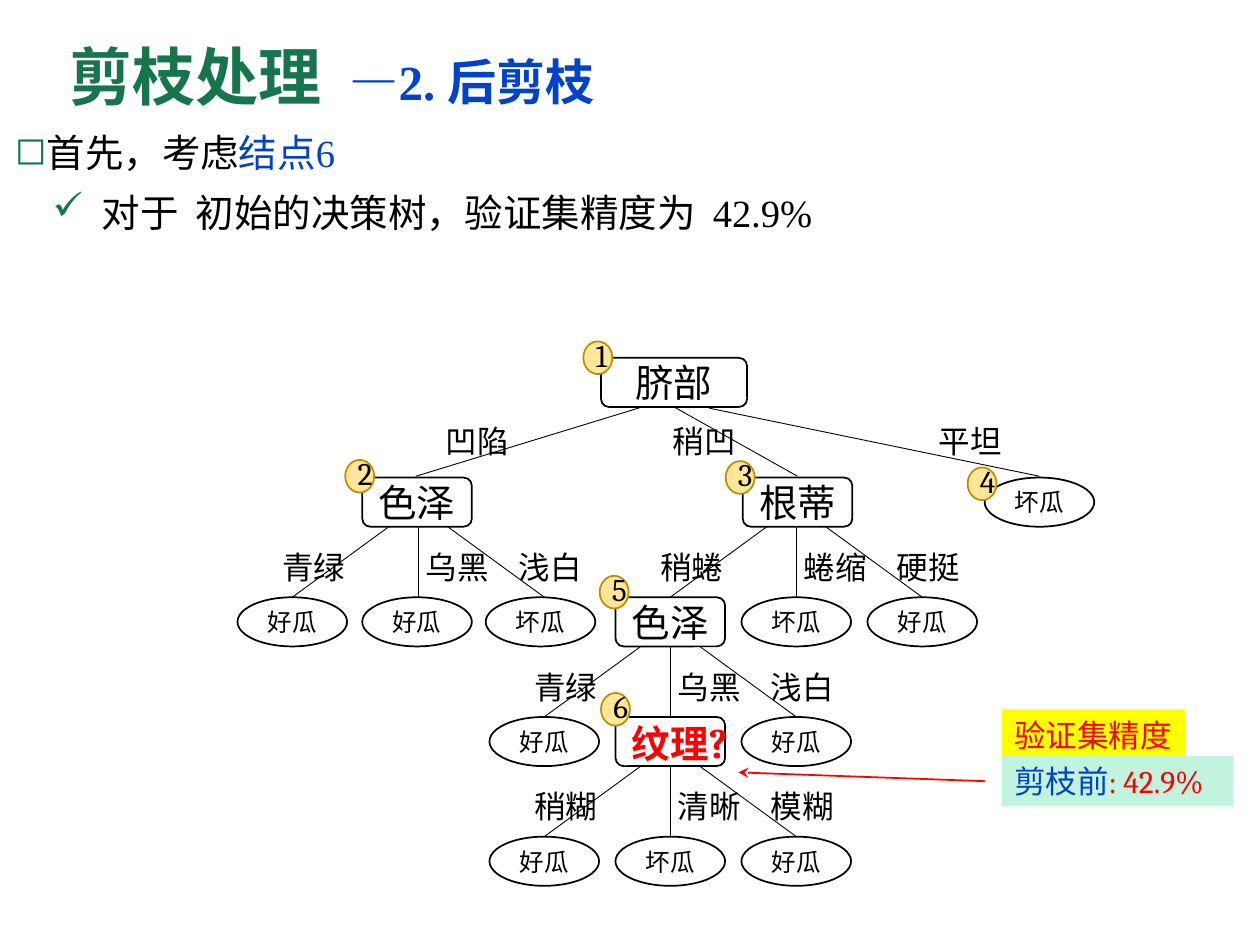
"""Build a slide showing a decision tree and the post-pruning check of node 6."""
from typing import NamedTuple

from lxml import etree
from pptx import Presentation, util as u
from pptx.dml import color
from pptx.enum import shapes, text
from pptx.oxml import ns

BLACK, WHITE, RED, BLUE, GREEN = "000000", "FFFFFF", "FF0000", "0042C8", "16754D"
SERIF, HEADING, CJK = "Times New Roman", "Cambria", "Noto Sans CJK SC"
NODE_WIDTH, NODE_HEIGHT = 0.87, 0.39
FIRST_LEVEL, LEVEL_STEP = 3.79, 0.95
ELLIPSE, ROUNDED = shapes.MSO_SHAPE.OVAL, shapes.MSO_SHAPE.ROUNDED_RECTANGLE


class Run(NamedTuple):
    words: str
    size: float
    face: str = SERIF
    tint: str = BLACK
    bold: bool = False


class Node(NamedTuple):
    runs: list[Run]
    center: float
    top: float
    width: float = NODE_WIDTH
    kind: int = ROUNDED


class Fan(NamedTuple):
    center: float
    level: int
    labels: tuple[str, str, str]


class Badge(NamedTuple):
    number: str
    left: float
    top: float


def rgb(value: str) -> color.RGBColor:
    return color.RGBColor.from_string(value)


def level_top(level: int) -> float:
    return FIRST_LEVEL + level * LEVEL_STEP


def style(font, run: Run) -> None:
    font.size, font.bold, font.name = u.Pt(run.size), run.bold, run.face
    font.color.rgb = rgb(run.tint)
    etree.SubElement(font._element, ns.qn("a:ea"), typeface=CJK)


def write(paragraph, runs: list[Run]) -> None:
    if len({run[1:] for run in runs}) == 1:
        style(paragraph.font, runs[0])
    for run in runs:
        piece = paragraph.add_run()
        piece.text = run.words
        if len(runs) > 1:
            style(piece.font, run)


def add_text(canvas, left: float, top: float, width: float, height: float,
             runs: list[Run], fill: str = "", wrap: bool = False):
    box = canvas.add_textbox(*map(u.Inches, (left, top, width, height)))
    frame = box.text_frame
    frame.word_wrap = wrap
    if not wrap:
        frame.auto_size = text.MSO_AUTO_SIZE.SHAPE_TO_FIT_TEXT
    if fill:
        box.fill.solid()
        box.fill.fore_color.rgb = rgb(fill)
    write(frame.paragraphs[0], runs)
    return box


def add_outlined(canvas, kind: int, left: float, top: float, width: float, height: float,
                 runs: list[Run], fill: str = WHITE, outline: str = BLACK):
    shape = canvas.add_shape(kind, *map(u.Inches, (left, top, width, height)))
    shape.shadow.inherit = False
    shape.fill.solid()
    shape.fill.fore_color.rgb = rgb(fill)
    shape.line.color.rgb = rgb(outline)
    shape.line.width = u.Pt(1)
    frame = shape.text_frame
    frame.word_wrap = True
    frame.vertical_anchor = text.MSO_ANCHOR.MIDDLE
    frame.paragraphs[0].alignment = text.PP_ALIGN.CENTER
    write(frame.paragraphs[0], runs)
    return shape


def add_line(canvas, start: tuple[float, float], end: tuple[float, float],
             tint: str = BLACK, width: float = 0.5, arrow: bool = False) -> None:
    line = canvas.add_connector(shapes.MSO_CONNECTOR.STRAIGHT, *map(u.Inches, (*start, *end)))
    line.line.color.rgb = rgb(tint)
    line.line.width = u.Pt(width)
    if arrow:
        etree.SubElement(line.line._get_or_add_ln(), ns.qn("a:tailEnd"), type="stealth")
    etree.SubElement(line._element.spPr, ns.qn("a:effectLst"))


def add_label(canvas, left: float, top: float, words: str) -> None:
    add_text(canvas, left, top, 0.71, 0.4, [Run(words, 18, CJK)])


def add_fan(canvas, fan: Fan) -> None:
    top = level_top(fan.level)
    for step, rise in ((-1, 0.22), (0, 0.39), (1, 0.22)):
        add_line(canvas, (fan.center, top + rise), (fan.center + step, top + LEVEL_STEP))
    for shift, words in zip((-1.18, -0.04, 0.7), fan.labels):
        add_label(canvas, fan.center + shift, top + 0.51, words)


def add_node(canvas, node: Node) -> None:
    add_outlined(canvas, node.kind, node.center - node.width / 2, node.top,
                 node.width, NODE_HEIGHT, node.runs)


def add_badge(canvas, badge: Badge) -> None:
    shape = add_outlined(canvas, ELLIPSE, badge.left, badge.top, 0.23, 0.26,
                         [Run(badge.number, 18, HEADING)], "FFE699", "BD8E00")
    shape.text_frame.margin_top = 0


def add_bullet(paragraph, runs: list[Run], symbol: str, margin: float) -> None:
    paragraph.line_spacing = 0.9
    paragraph.space_before = u.Pt(10)
    properties = paragraph._p.get_or_add_pPr()
    properties.set("marL", str(u.Inches(margin)))
    properties.set("indent", str(u.Inches(-0.39)))
    tint = etree.SubElement(properties, ns.qn("a:buClr"))
    etree.SubElement(tint, ns.qn("a:srgbClr"), val=GREEN)
    etree.SubElement(properties, ns.qn("a:buChar"), char=symbol)
    write(paragraph, runs)


def decision(words: str, center: float, level: int) -> Node:
    return Node([Run(words, 22, HEADING)], center, level_top(level))


def leaf(words: str, center: float, level: int) -> Node:
    return Node([Run(words, 14)], center, level_top(level), kind=ELLIPSE)


FANS = [
    Fan(3.32, 0, ("青绿", "乌黑", "浅白")),
    Fan(6.32, 0, ("稍蜷", "蜷缩", "硬挺")),
    Fan(5.32, 1, ("青绿", "乌黑", "浅白")),
    Fan(5.32, 2, ("稍糊", "清晰", "模糊")),
]
ROOT_BRANCHES = [
    ((5.13, 3.22), (3.3, 3.78), "凹陷", 3.44),
    ((5.35, 3.23), (6.33, 3.78), "稍凹", 5.24),
    ((5.63, 3.24), (8.25, 3.78), "平坦", 7.35),
]
NODES = [
    Node([Run("脐部", 22, HEADING)], 5.35, 2.84, 1.16),
    decision("色泽", 3.31, 0), decision("根蒂", 6.33, 0), leaf("坏瓜", 8.25, 0),
    leaf("好瓜", 2.32, 1), leaf("好瓜", 3.31, 1), leaf("坏瓜", 4.29, 1),
    decision("色泽", 5.32, 1), leaf("坏瓜", 6.32, 1), leaf("好瓜", 7.32, 1),
    leaf("好瓜", 4.32, 2), leaf("好瓜", 6.32, 2),
    Node([Run("纹理", 22, HEADING, RED, True), Run("?", 24, HEADING, RED, True)],
         5.32, level_top(2)),
    leaf("好瓜", 4.32, 3), leaf("坏瓜", 5.32, 3), leaf("好瓜", 6.32, 3),
]
BADGES = [
    Badge("1", 4.63, 2.71), Badge("2", 2.74, 3.65), Badge("3", 5.76, 3.66),
    Badge("4", 7.68, 3.71), Badge("5", 4.76, 4.57), Badge("6", 4.77, 5.5),
]


def main() -> None:
    presentation = Presentation()
    presentation.slide_width, presentation.slide_height = u.Inches(10), u.Inches(7.5)
    slide = presentation.slides.add_slide(presentation.slide_layouts[6])
    canvas = slide.shapes

    body = canvas.add_textbox(*map(u.Inches, (0.02, 1.02, 9.88, 0.99))).text_frame
    body.word_wrap = True
    add_bullet(body.paragraphs[0], [Run("首先，考虑", 22), Run("结点6", 22, tint=BLUE)], "◻", 0.25)
    add_bullet(body.add_paragraph(), [Run("对于  初始的决策树，验证集精度为  42.9%", 22)], "✓", 0.69)

    tree = canvas.add_group_shape().shapes
    for start, end, words, left in ROOT_BRANCHES:
        add_line(tree, start, end)
        add_label(tree, left, 3.3, words)
    for fan in FANS:
        add_fan(tree, fan)
    for node in NODES:
        add_node(tree, node)
    for badge in BADGES:
        add_badge(tree, badge)

    add_line(canvas, (7.82, 6.2), (5.86, 6.13), RED, 1, arrow=True)
    add_text(canvas, 7.95, 5.63, 1.46, 0.4, [Run("验证集精度", 18, HEADING, RED)], "FFFF00")
    add_text(canvas, 7.95, 6, 1.84, 0.4,
             [Run("剪枝前", 18, HEADING, BLUE), Run(": 42.9%", 18, HEADING, RED)], "C1F3DE")

    title = add_text(canvas, 0.45, 0.21, 8.62, 0.85,
                     [Run("剪枝处理  ", 36, SERIF, GREEN, True),
                      Run("—2. 后剪枝", 28, SERIF, BLUE, True)], wrap=True).text_frame
    title.vertical_anchor = text.MSO_ANCHOR.MIDDLE
    title.paragraphs[0].line_spacing = 0.9
    presentation.save("out.pptx")


if __name__ == "__main__":
    main()
